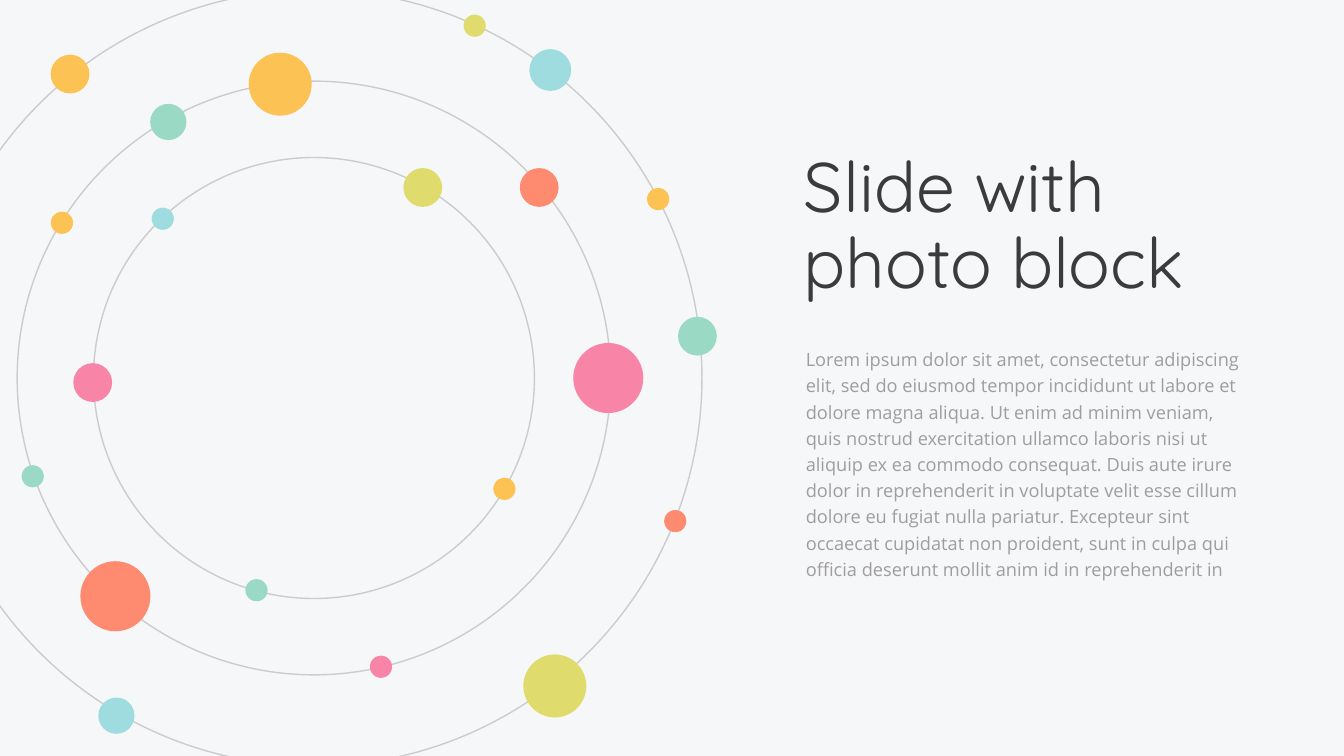
from lxml import etree
from pptx import Presentation
from pptx.dml.color import RGBColor
from pptx.enum.shapes import MSO_SHAPE
from pptx.enum.text import MSO_ANCHOR, MSO_AUTO_SIZE, PP_ALIGN
from pptx.oxml.ns import qn
from pptx.util import Inches, Pt

TITLE = "Slide with photo block"
BODY = (
    "Lorem ipsum dolor sit amet, consectetur adipiscing elit, sed do eiusmod tempor "
    "incididunt ut labore et dolore magna aliqua. Ut enim ad minim veniam, quis nostrud "
    "exercitation ullamco laboris nisi ut aliquip ex ea commodo consequat. Duis aute irure "
    "dolor in reprehenderit in voluptate velit esse cillum dolore eu fugiat nulla pariatur. "
    "Excepteur sint occaecat cupidatat non proident, sunt in culpa qui officia deserunt "
    "mollit anim id in reprehenderit in"
)

BACKGROUND = "F6F7F8"
RING_LINE = "9F9FA0"
PINK, LIME, AMBER = "F885A8", "DFDC6D", "FDC254"
SKY, CORAL, MINT = "9FDCE0", "FE8A6F", "9ADAC5"

RING_DIAMETERS = (8.75, 11.78, 15.4)

# Centre offsets from the middle of the rings, by diameter
PLANETS = {
    1.39: [(5.84, 0, PINK), (-3.94, 4.33, CORAL)],
    1.25: [(-0.67, -5.83, AMBER), (4.78, 6.11, LIME)],
    0.83: [(4.69, -6.11, SKY)],
    0.77: [
        (2.16, -3.78, LIME), (-4.84, -6.03, AMBER), (-4.39, 0.09, PINK),
        (4.47, -3.78, CORAL), (7.61, -0.83, MINT),
    ],
    0.72: [(-3.92, 6.7, SKY), (-2.89, -5.08, MINT)],
    0.44: [
        (-3, -3.16, SKY), (3.19, -6.99, LIME), (1.33, 5.73, PINK),
        (7.17, 2.84, CORAL), (6.83, -3.55, AMBER), (3.78, 2.2, AMBER),
        (-5.58, 1.95, MINT), (-5, -3.08, AMBER), (-1.14, 4.21, MINT),
    ],
}


def color(value):
    return RGBColor.from_string(value)


def add_circle(slide, center_x, center_y, diameter):
    left, top = center_x - diameter / 2, center_y - diameter / 2
    circle = slide.shapes.add_shape(
        MSO_SHAPE.OVAL, Inches(left), Inches(top), Inches(diameter), Inches(diameter)
    )
    circle.shadow.inherit = False
    return circle


def add_orbits(slide, left, top, size):
    center_x, center_y = left + size / 2, top + size / 2
    for diameter in RING_DIAMETERS:
        ring = add_circle(slide, center_x, center_y, diameter)
        ring.fill.background()
        ring.line.width = Pt(2)
        ring.line.color.rgb = color(RING_LINE)
        line_color = ring.line._get_or_add_ln().find(".//" + qn("a:srgbClr"))
        etree.SubElement(line_color, qn("a:alpha"), val="47000")
    for diameter, places in PLANETS.items():
        for offset_x, offset_y, fill in places:
            planet = add_circle(slide, center_x + offset_x, center_y + offset_y, diameter)
            planet.fill.solid()
            planet.fill.fore_color.rgb = color(fill)
            planet.line.fill.background()


def fill_placeholder(shape, box, text, frame_format, paragraph_format, font_format, fill):
    for name, value in zip(("left", "top", "width", "height"), box):
        setattr(shape, name, Inches(value))
    frame = shape.text_frame
    frame.text = text
    paragraph = frame.paragraphs[0]
    margins = {f"margin_{side}": Inches(0.06) for side in ("left", "top", "right", "bottom")}
    common = {"word_wrap": True, "auto_size": MSO_AUTO_SIZE.NONE, **margins}
    font = paragraph.runs[0].font
    for target, formats in (
        (frame, {**common, **frame_format}),
        (paragraph, {"alignment": PP_ALIGN.LEFT, **paragraph_format}),
        (font, font_format),
    ):
        for name, value in formats.items():
            setattr(target, name, value)
    font.color.rgb = color(fill)
    return paragraph


def add_text_block(slide, left, top):
    fill_placeholder(
        slide.shapes.title, (left, top, 8.63, 3.14), TITLE,
        {"vertical_anchor": MSO_ANCHOR.MIDDLE},
        {"line_spacing": 0.9, "space_before": Pt(0)},
        {"name": "Quicksand", "size": Pt(100)}, "3B3B3D",
    )
    paragraph = fill_placeholder(
        slide.placeholders[1], (left + 0.04, top + 3.82, 8.74, 4.8), BODY,
        {"vertical_anchor": MSO_ANCHOR.TOP},
        {"line_spacing": 1.2, "space_before": Pt(20)},
        {"name": "Open Sans", "size": Pt(26)}, "9F9DA0",
    )
    properties = paragraph._p.get_or_add_pPr()
    properties.set("marL", "0")
    properties.set("indent", "0")
    etree.SubElement(properties, qn("a:buNone"))


def main():
    presentation = Presentation()
    presentation.slide_width, presentation.slide_height = Inches(26.67), Inches(15)
    slide = presentation.slides.add_slide(presentation.slide_layouts[1])
    slide.background.fill.solid()
    slide.background.fill.fore_color.rgb = color(BACKGROUND)
    add_text_block(slide, 15.89, 2.95)
    add_orbits(slide, -1.47, -0.2, 15.4)
    presentation.save("out.pptx")


if __name__ == "__main__":
    main()
